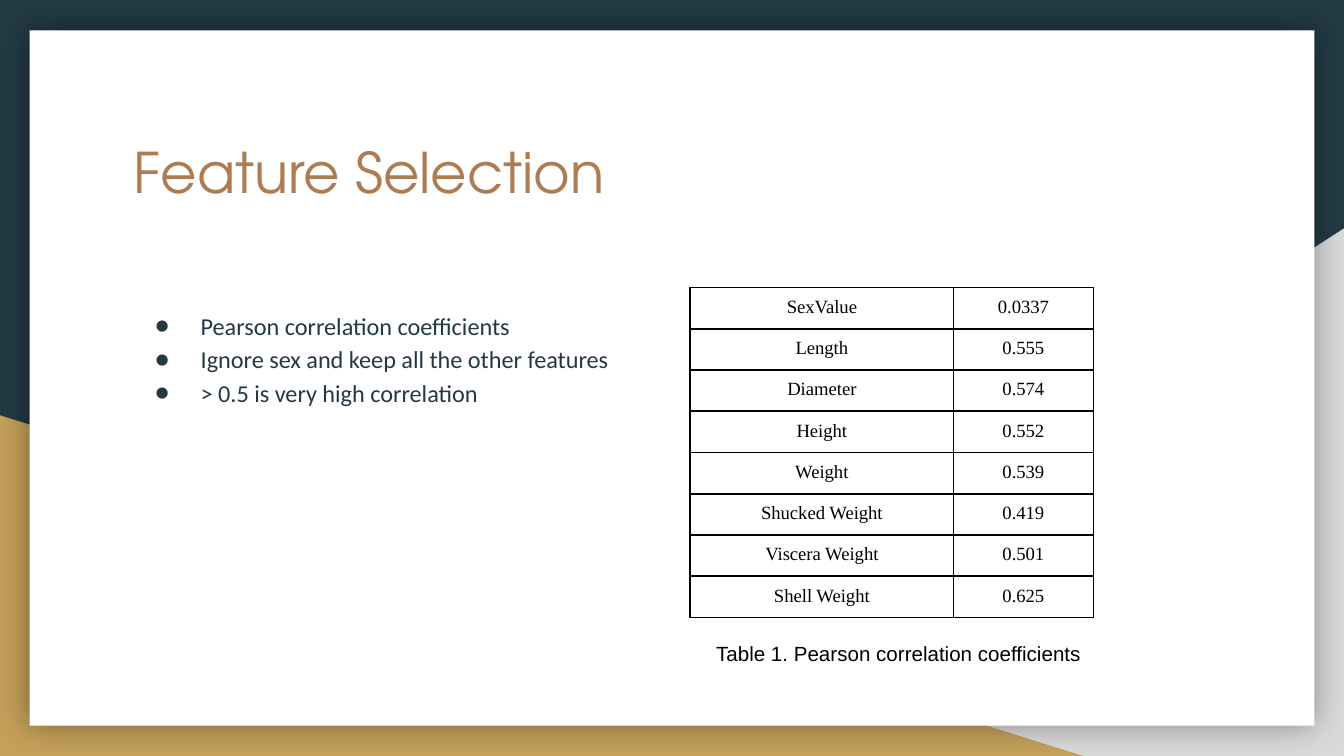
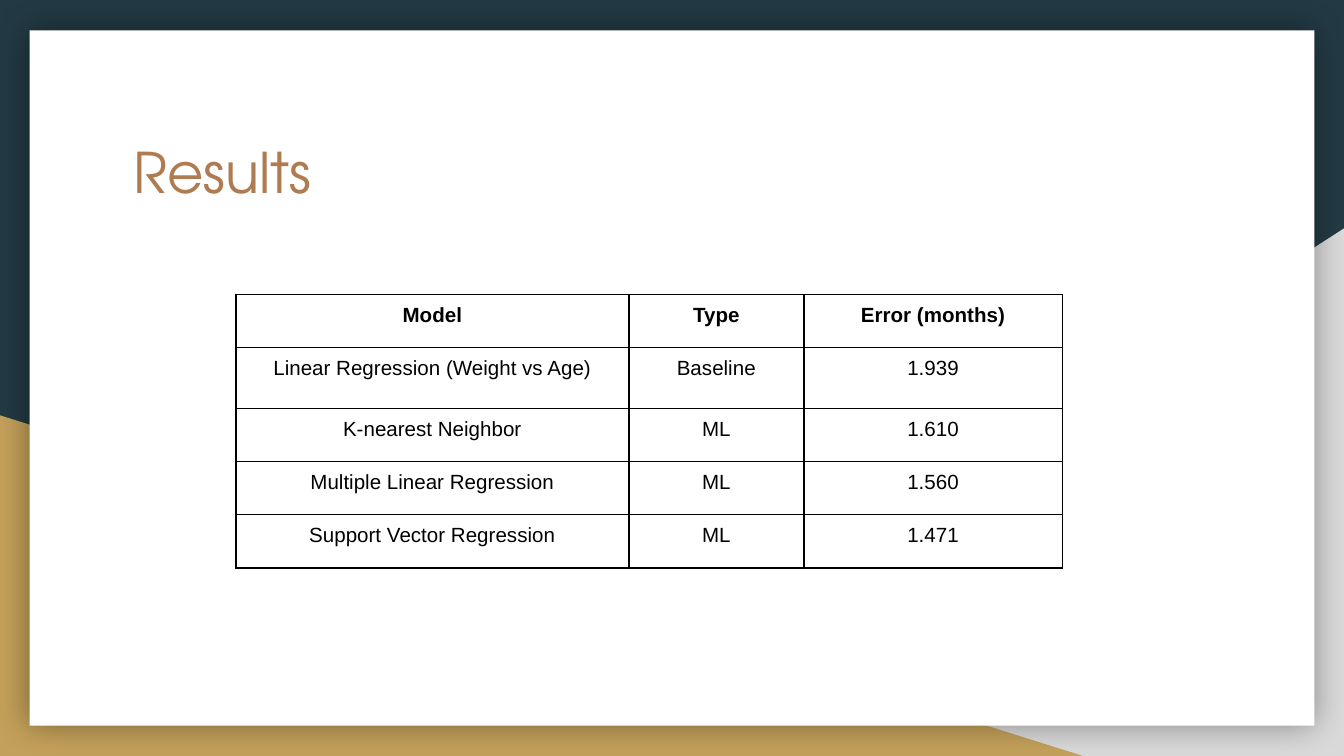
"""Build two slides on feature selection and model results."""
from dataclasses import dataclass

from lxml import etree
from pptx import Presentation
from pptx.dml.color import RGBColor
from pptx.enum.shapes import MSO_SHAPE
from pptx.enum.text import MSO_ANCHOR, PP_ALIGN
from pptx.oxml.ns import qn
from pptx.slide import Slide
from pptx.util import Emu, Inches, Pt

RECT, TRIANGLE = MSO_SHAPE.RECTANGLE, MSO_SHAPE.RIGHT_TRIANGLE
TOP, MIDDLE = MSO_ANCHOR.TOP, MSO_ANCHOR.MIDDLE
CENTER = PP_ALIGN.CENTER

COLS, ROWS = 100, 56.25
UNIT = Inches(0.1)
NAVY, GOLD, GREY, WHITE = "233A44", "C4A15A", "D9D9D9", "FFFFFF"
COPPER, BLACK = "AF7B51", "000000"


@dataclass(frozen=True)
class Box:
    """A rectangle in grid columns and rows."""
    left: float
    top: float
    width: float
    height: float

    def emu(self) -> tuple[Emu, ...]:
        """Return left, top, width and height as lengths."""
        return tuple(grid(n) for n in (self.left, self.top, self.width, self.height))


@dataclass(frozen=True)
class Style:
    """The look of a run of text."""
    font: str
    size: float
    color: str


@dataclass(frozen=True)
class Panel:
    """A filled shape of the backdrop."""
    shape: int
    box: Box
    color: str
    flipped: bool = False
    shadowed: bool = False


@dataclass(frozen=True)
class TableSpec:
    """The place, grid and wording of a table; rows of zero fit their text."""
    box: Box
    cols: tuple[float, ...]
    rows: tuple[float, ...]
    data: tuple[tuple[str, ...], ...]
    style: Style
    header: bool = False


TITLE = Style("TeX Gyre Adventor", 30, COPPER)
BODY = Style("Calibri", 13, NAVY)
ARIAL = Style("Arial", 11, BLACK)
SERIF = Style("Times New Roman", 10, BLACK)

TITLE_BOX = Box(8.95, 9.25, 82.1, 10.4)
BODY_BOX = Box(8.95, 21.8, 37.8, 26.8)
CAPTION_BOX = Box(52.3, 32.2, 32.8, 32.8)

BACKDROP = (
    Panel(TRIANGLE, Box(39.2, 17, COLS - 39.2, ROWS - 17), GREY, flipped=True),
    Panel(TRIANGLE, Box(0, 30.9, 80.6, ROWS - 30.9), GOLD),
    Panel(RECT, Box(2.2, 2.25, COLS - 4.4, ROWS - 4.5), WHITE, shadowed=True),
)

BULLETS = (
    "Pearson correlation coefficients",
    "Ignore sex and keep all the other features",
    "> 0.5 is very high correlation",
)

CORRELATIONS = TableSpec(Box(51.35, 21.4, 30, 24.4), (19.6, 10.4), (0,) * 8, (
    ("SexValue", "0.0337"),
    ("Length", "0.555"),
    ("Diameter", "0.574"),
    ("Height", "0.552"),
    ("Weight", "0.539"),
    ("Shucked Weight", "0.419"),
    ("Viscera Weight", "0.501"),
    ("Shell Weight", "0.625"),
), SERIF)

RESULTS = TableSpec(Box(17.55, 21.9, 61.5, 20.4), (29.24, 13.02, 19.24),
                    (3.95, 4.55, 3.95, 3.95, 3.95), (
    ("Model", "Type", "Error (months)"),
    ("Linear Regression (Weight vs Age)", "Baseline", "1.939"),
    ("K-nearest Neighbor", "ML", "1.610"),
    ("Multiple Linear Regression", "ML", "1.560"),
    ("Support Vector Regression", "ML", "1.471"),
), ARIAL, header=True)


def grid(n: float) -> Emu:
    """Convert grid units to a length."""
    return Emu(round(n * UNIT))


def rgb(color: str) -> RGBColor:
    """Convert a hex string to a colour."""
    return RGBColor.from_string(color)


def add_color(parent, color: str):
    """Append a colour element and return it."""
    return etree.SubElement(parent, qn("a:srgbClr"), val=color)


def format_runs(tf, style: Style, bold: bool = False) -> None:
    """Apply a style to every run of a text frame."""
    for p in tf.paragraphs:
        for r in p.runs:
            r.font.name, r.font.size, r.font.bold = style.font, Pt(style.size), bold
            r.font.color.rgb = rgb(style.color)


def add_panel(slide: Slide, panel: Panel) -> None:
    """Draw one backdrop shape."""
    sp = slide.shapes.add_shape(panel.shape, *panel.box.emu())
    sp.fill.solid()
    sp.fill.fore_color.rgb = rgb(panel.color)
    sp.line.fill.background()
    sp.shadow.inherit = False
    props = sp._element.spPr
    if panel.flipped:
        props.find(qn("a:xfrm")).set("flipH", "1")
    if panel.shadowed:
        shadow = etree.SubElement(props.find(qn("a:effectLst")), qn("a:outerShdw"),
                                  blurRad=str(Pt(18)), dist="0", dir="0",
                                  algn="ctr", rotWithShape="0")
        etree.SubElement(add_color(shadow, BLACK), qn("a:alpha"), val="40000")


def add_text(slide: Slide, box: Box, text: str, style: Style, anchor=TOP):
    """Add a wrapped text box and return its text frame."""
    tf = slide.shapes.add_textbox(*box.emu()).text_frame
    tf.word_wrap = True
    tf.vertical_anchor = anchor
    tf.margin_left = tf.margin_right = tf.margin_top = tf.margin_bottom = grid(1)
    tf.text = text
    format_runs(tf, style)
    return tf


def add_bullets(slide: Slide, box: Box, items: tuple[str, ...], style: Style) -> None:
    """Add a bulleted list."""
    tf = add_text(slide, box, "\n".join(items), style)
    for p in tf.paragraphs:
        p.line_spacing = 1.15
        props = p._p.get_or_add_pPr()
        props.set("marL", str(grid(5)))
        props.set("indent", str(grid(-3.4)))
        add_color(etree.SubElement(props, qn("a:buClr")), style.color)
        etree.SubElement(props, qn("a:buFont"), typeface=style.font)
        etree.SubElement(props, qn("a:buChar"), char="●")


def add_borders(cell) -> None:
    """Give a cell a thin border on all four sides."""
    props = cell._tc.get_or_add_tcPr()
    for side in ("lnL", "lnR", "lnT", "lnB"):
        ln = etree.SubElement(props, qn(f"a:{side}"), w=str(Pt(1)))
        add_color(etree.SubElement(ln, qn("a:solidFill")), BLACK)


def add_table(slide: Slide, spec: TableSpec) -> None:
    """Draw a bordered table with centred text."""
    frame = slide.shapes.add_table(len(spec.rows), len(spec.cols), *spec.box.emu())
    table = frame.table
    table.first_row = spec.header
    table.horz_banding = False
    for col, width in zip(table.columns, spec.cols):
        col.width = grid(width)
    for i, (row, height) in enumerate(zip(table.rows, spec.rows)):
        row.height = grid(height)
        for cell, text in zip(row.cells, spec.data[i]):
            cell.margin_left = cell.margin_right = grid(0.7)
            cell.margin_top = cell.margin_bottom = grid(0.7)
            cell.text_frame.text = text
            cell.text_frame.paragraphs[0].alignment = CENTER
            format_runs(cell.text_frame, spec.style, bold=spec.header and i == 0)
            add_borders(cell)
            cell.fill.background()
    frame.height = grid(spec.box.height)


def add_slide(prs, title: str) -> Slide:
    """Add a slide with the shared backdrop and title."""
    slide = prs.slides.add_slide(prs.slide_layouts[6])
    slide.background.fill.solid()
    slide.background.fill.fore_color.rgb = rgb(NAVY)
    for panel in BACKDROP:
        add_panel(slide, panel)
    add_text(slide, TITLE_BOX, title, TITLE)
    return slide


def main() -> None:
    """Build and save the presentation."""
    prs = Presentation()
    prs.slide_width, prs.slide_height = grid(COLS), grid(ROWS)

    slide = add_slide(prs, "Feature Selection")
    add_bullets(slide, BODY_BOX, BULLETS, BODY)
    add_table(slide, CORRELATIONS)
    add_text(slide, CAPTION_BOX, "Table 1. Pearson correlation coefficients", ARIAL, MIDDLE)

    slide = add_slide(prs, "Results")
    add_table(slide, RESULTS)

    prs.save("out.pptx")


if __name__ == "__main__":
    main()
